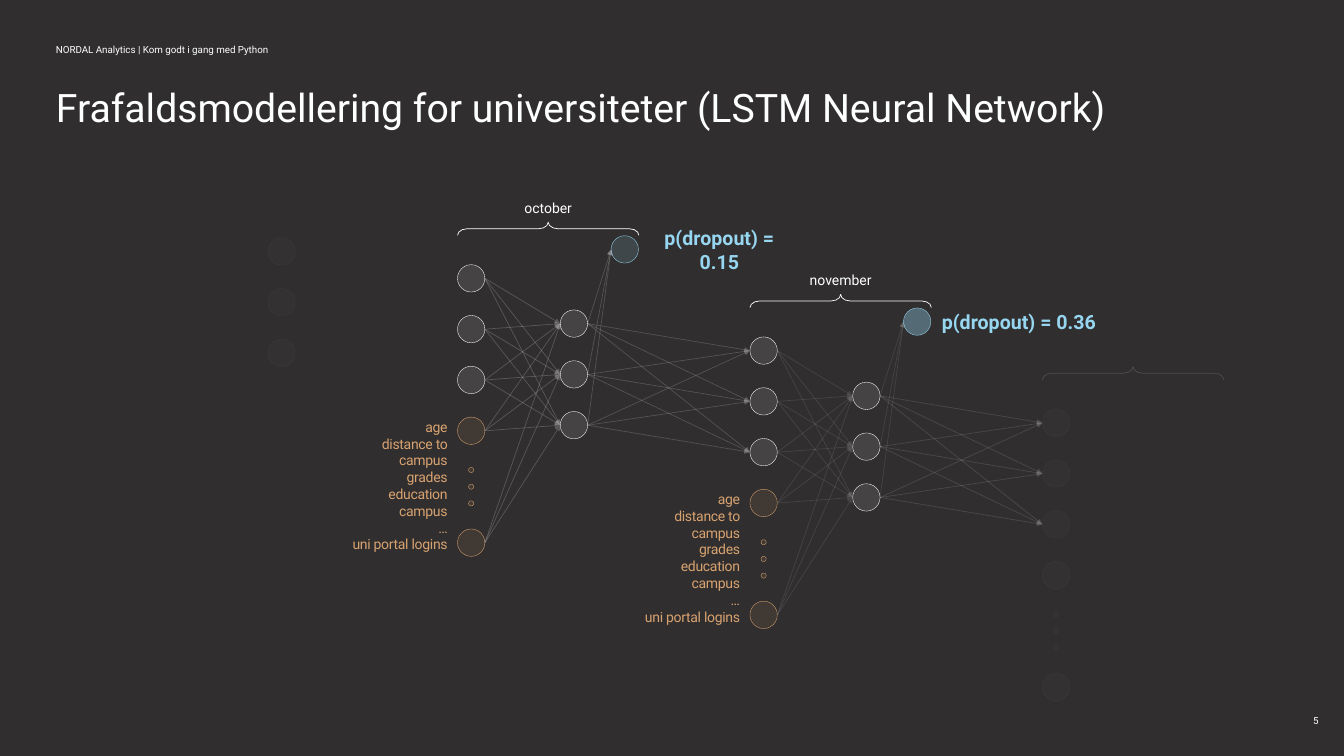
from itertools import product

from lxml import etree
from pptx import Presentation
from pptx.dml import color as dml
from pptx.enum import shapes, text
from pptx.oxml import ns
from pptx.util import Cm, Pt

WHITE, GREY, ORANGE, BLUE = "FEFFFF", "E6E6E7", "D9A371", "96D6F1"
DARK, FADED = "302E2E", "333131"
NODE, DOT = 0.69, 0.13
ROW_STEP = 1.28
MONTH_RIGHT, MONTH_DOWN = 7.37, 1.82
BRACE_LENGTH, BRACE_DEPTH = 4.57, 0.33
FEATURES = ["age", "distance to campus", "grades", "education", "campus",
            "…", "uni portal logins"]


def paint(fill, color, alpha=100):
    """Make a fill solid, with alpha as percent opacity."""
    fill.solid()
    fill.fore_color.rgb = dml.RGBColor.from_string(color)
    if alpha < 100:
        tint = fill._xPr.find(".//" + ns.qn("a:srgbClr"))
        etree.SubElement(tint, ns.qn("a:alpha"), val=str(alpha * 1000))


def write(lines, left, top, width, height, size=10, color=WHITE, bold=False,
          align="LEFT", anchor="MIDDLE", line_spacing=None, tracking=None):
    box = page.shapes.add_textbox(Cm(left), Cm(top), Cm(width), Cm(height))
    frame = box.text_frame
    frame.word_wrap = True
    frame.vertical_anchor = getattr(text.MSO_ANCHOR, anchor)
    for index, line in enumerate(lines):
        para = frame.paragraphs[0] if index == 0 else frame.add_paragraph()
        para.alignment = getattr(text.PP_ALIGN, align)
        para.line_spacing = line_spacing
        span = para.add_run()
        span.text = line
        span.font.name = "Roboto"
        span.font.size = Pt(size)
        span.font.bold = bold
        paint(span.font.fill, color)
        if tracking:
            span.font._element.set("spc", str(tracking))


deck = Presentation()
deck.slide_width, deck.slide_height = Cm(33.87), Cm(19.05)
page = deck.slides.add_slide(deck.slide_layouts[6])
backdrop = page.shapes.add_shape(shapes.MSO_SHAPE.RECTANGLE, 0, 0,
                                 deck.slide_width, deck.slide_height)
backdrop.shadow.inherit = False
backdrop.line.fill.background()
paint(backdrop.fill, DARK)

write(["NORDAL Analytics |\u00a0Kom godt i gang med Python"], 1.16, 0.74, 11.43, 1.02, size=7)
write(["Frafaldsmodellering for universiteter (LSTM Neural Network)"],
      1.16, 2.11, 28.32, 1.47, size=28, anchor="TOP", line_spacing=0.9)
write(["5"], 25.86, 17.65, 7.62, 1.02, size=7, align="RIGHT")

# Layers of each month, as left and top of every node; month 0 is october
inputs, hidden, outputs = {}, {}, {}
for month in range(-1, 3):
    right, down = month * MONTH_RIGHT, month * MONTH_DOWN
    rows = [row * ROW_STEP for row in range(4)] + [6.66]
    inputs[month] = [(11.53 + right, 6.67 + down + row) for row in rows]
    hidden[month] = [(14.12 + right, 7.81 + down + row) for row in rows[:3]]
    outputs[month] = [(15.4 + right, 5.94 + down)]

# Connections: sources, targets, colour, opacity
wiring = [
    (hidden[-1], inputs[0][:3], "312F2F", 100),
    (inputs[0], hidden[0], WHITE, 20),
    (hidden[0], outputs[0], GREY, 20),
    (hidden[0], inputs[1][:3], GREY, 20),
    (inputs[1], hidden[1], WHITE, 10),
    (hidden[1], outputs[1], WHITE, 10),
    (hidden[1], inputs[2][:3], WHITE, 12),
]
for sources, targets, color, alpha in wiring:
    for (start_x, start_y), (end_x, end_y) in product(sources, targets):
        arrow = page.shapes.add_connector(
            shapes.MSO_CONNECTOR.STRAIGHT,
            Cm(start_x + NODE), Cm(start_y + NODE / 2), Cm(end_x), Cm(end_y + NODE / 2))
        arrow.line.width = Pt(0.5)
        paint(arrow.line.fill, color, alpha)
        properties = arrow._element.spPr
        etree.SubElement(properties.find(ns.qn("a:ln")), ns.qn("a:tailEnd"),
                         type="triangle", w="sm", len="sm")
        etree.SubElement(properties, ns.qn("a:effectLst"))

# Circles: left, top, diameter, fill colour and opacity, line colour and opacity
circles = [(*place, NODE, FADED, 100, WHITE, 5) for place in hidden[-1]]
for month in range(3):
    if month == 2:
        state_style = feature_style = (FADED, 100, WHITE, 5)
    else:
        state_style = (WHITE, 10, WHITE, 100)
        feature_style = (ORANGE, 10, ORANGE, 100)
        circles += [(*place, NODE, *state_style) for place in hidden[month]]
        circles.append((*outputs[month][0], NODE, BLUE, (15, 36)[month], BLUE, 100))
    for row, place in enumerate(inputs[month]):
        circles.append((*place, NODE, *(state_style if row < 3 else feature_style)))
    for dot in range(3):
        circles.append((11.81 + month * MONTH_RIGHT, 11.78 + month * MONTH_DOWN + dot * 0.42,
                        DOT, *feature_style))

for left, top, diameter, fill_color, fill_alpha, line_color, line_alpha in circles:
    circle = page.shapes.add_shape(shapes.MSO_SHAPE.OVAL, Cm(left), Cm(top),
                                   Cm(diameter), Cm(diameter))
    circle.shadow.inherit = False
    paint(circle.fill, fill_color, fill_alpha)
    circle.line.width = Pt(0.25)
    paint(circle.line.fill, line_color, line_alpha)

# A left brace turned a quarter points up over each month
for month, alpha in enumerate([100, 100, 15]):
    brace = page.shapes.add_shape(
        shapes.MSO_SHAPE.LEFT_BRACE, Cm(13.65 + month * MONTH_RIGHT),
        Cm(3.48 + month * MONTH_DOWN), Cm(BRACE_DEPTH), Cm(BRACE_LENGTH))
    brace.rotation = 90
    brace.adjustments[0] = 0.737
    brace.shadow.inherit = False
    brace.fill.background()
    brace.line.width = Pt(0.5)
    paint(brace.line.fill, WHITE, alpha)

for month, name in enumerate(["october", "november"]):
    right, down = month * MONTH_RIGHT, month * MONTH_DOWN
    write([name], 11.53 + right, 4.9 + down, BRACE_LENGTH, 0.69, align="CENTER")
    write(FEATURES, 8.08 + right, 10.61 + down, 3.45, 3.25,
          color=ORANGE, align="RIGHT", tracking=-20)

for chance, left, top, width in [("0.15", 15.98, 5.86, 4.3), ("0.36", 23.45, 7.67, 4.46)]:
    write([f"p(dropout) = {chance}"], left, top, width, 0.86,
          size=14, color=BLUE, bold=True, align="CENTER")

deck.save("out.pptx")
